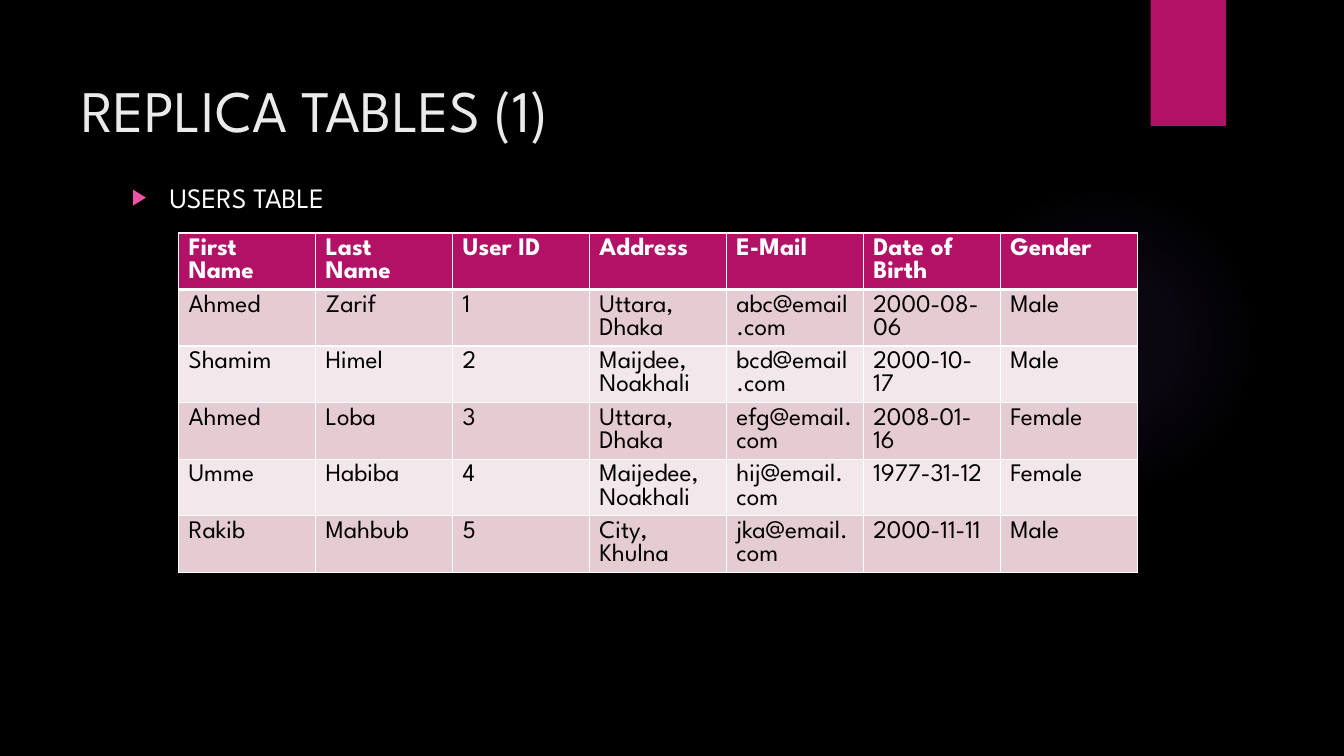
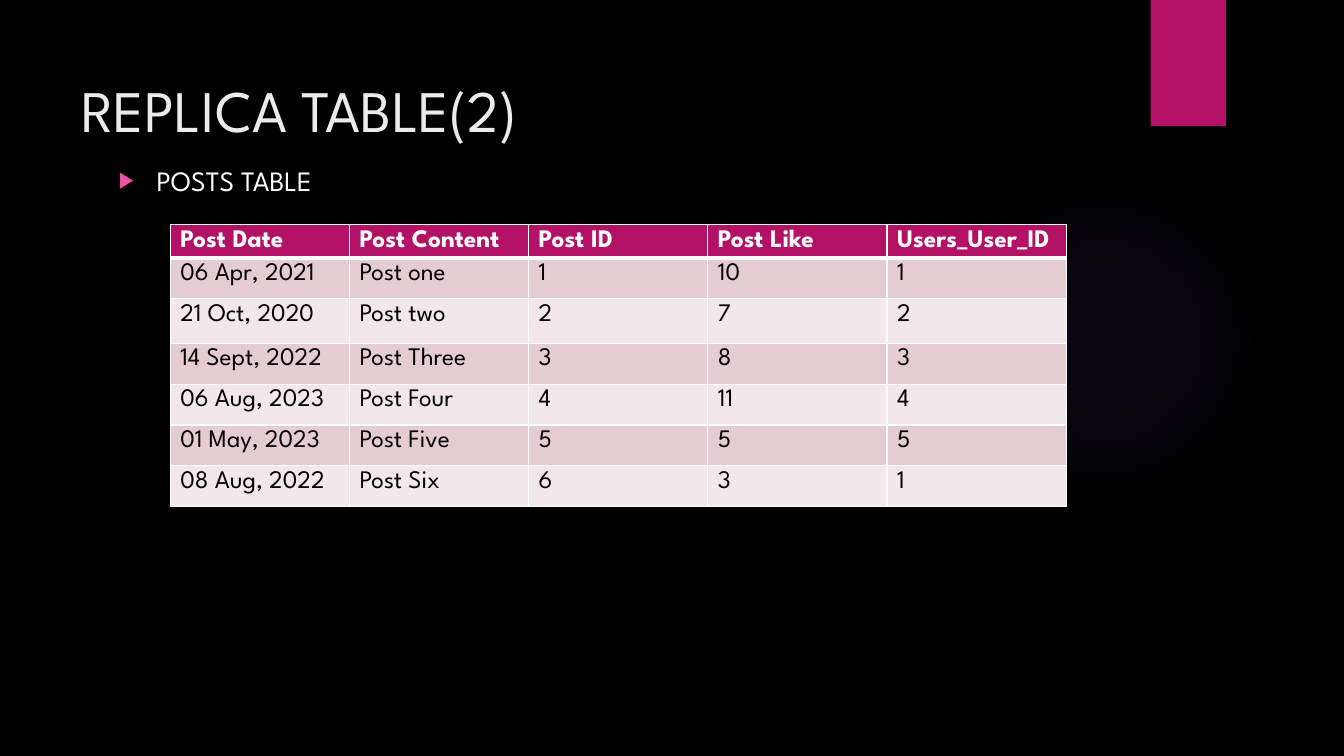
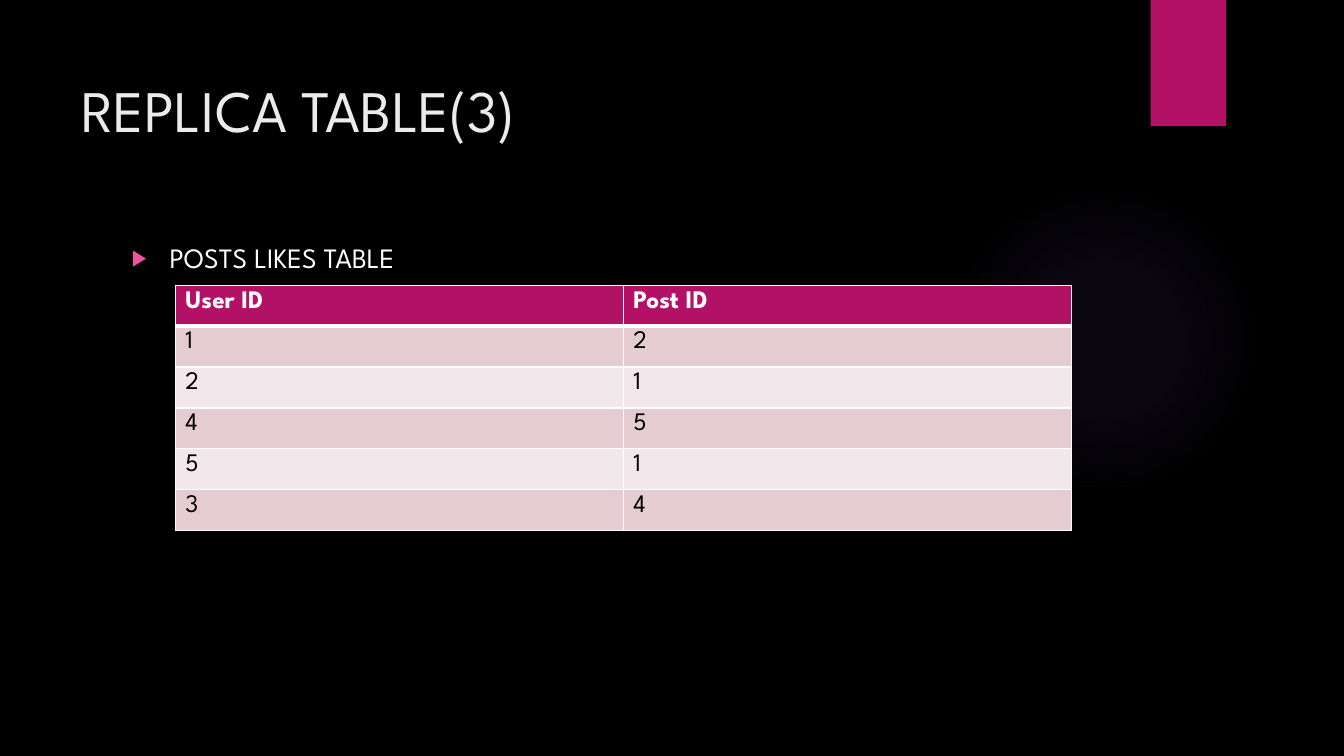
from pptx import Presentation
from pptx.dml.color import RGBColor
from pptx.enum.shapes import MSO_SHAPE
from pptx.enum.text import MSO_ANCHOR, MSO_AUTO_SIZE, PP_ALIGN
from pptx.oxml import parse_xml
from pptx.oxml.ns import nsdecls
from pptx.util import Cm, Pt

RECTANGLE, OVAL = MSO_SHAPE.RECTANGLE, MSO_SHAPE.OVAL
TOP, LEFT, NO_FIT = MSO_ANCHOR.TOP, PP_ALIGN.LEFT, MSO_AUTO_SIZE.NONE

FONT = "League Spartan"
BLACK, WHITE, TITLE_GREY = "000000", "FFFFFF", "EBEBEB"
MAGENTA, PINK, VIOLET = "B31166", "EF53A5", "9B6BF2"
ROW_TINTS = ("E5CCD3", "F2E7EA")
GLOW_STOPS = ((0, 7), (36, 6), (69, 0), (100, 0))  # position %, opacity %

# Boxes are left, top, width, height in centimetres.
TITLE_BOX = (1.8, 1.27, 26.14, 3.89)
BAR_BOX = (29, 0, 1.9, 3.18)
GLOW_BOX = (23.9, 4.65, 7.82, 7.82)
BODY_SIZE = (24.84, 11.66)
ROW_HEIGHT = 1.03

SLIDES = [
    {
        "title": "REPLICA TABLES (1)",
        "caption": "USERS TABLE",
        "caption_at": (3.07, 4.19),
        "table_at": (4.5, 5.87),
        "table_width": 24.16,
        "row_heights": {},
        "records": [
            ("First Name", "Last Name", "User ID", "Address", "E-Mail",
             "Date of Birth", "Gender"),
            ("Ahmed", "Zarif", "1", "Uttara, Dhaka", "abc@email.com",
             "2000-08-06", "Male"),
            ("Shamim", "Himel", "2", "Maijdee, Noakhali", "bcd@email.com",
             "2000-10-17", "Male"),
            ("Ahmed", "Loba", "3", "Uttara, Dhaka", "efg@email.com",
             "2008-01-16", "Female"),
            ("Umme", "Habiba", "4", "Maijedee, Noakhali", "hij@email.com",
             "1977-31-12", "Female"),
            ("Rakib", "Mahbub", "5", "City, Khulna", "jka@email.com",
             "2000-11-11", "Male"),
        ],
    },
    {
        "title": "REPLICA TABLE(2)",
        "caption": "POSTS TABLE",
        "caption_at": (2.74, 3.76),
        "table_at": (4.29, 5.66),
        "table_width": 22.58,
        "row_heights": {0: 0.61, 2: 1.12},
        "records": [
            ("Post Date", "Post Content", "Post ID", "Post Like", "Users_User_ID"),
            ("06 Apr, 2021", "Post one", "1", "10", "1"),
            ("21 Oct, 2020", "Post two", "2", "7", "2"),
            ("14 Sept, 2022", "Post Three", "3", "8", "3"),
            ("06 Aug, 2023", "Post Four", "4", "11", "4"),
            ("01 May, 2023", "Post Five", "5", "5", "5"),
            ("08 Aug, 2022", "Post Six", "6", "3", "1"),
        ],
    },
    {
        "title": "REPLICA TABLE(3)",
        "caption": "POSTS LIKES TABLE",
        "caption_at": (3.07, 5.72),
        "table_at": (4.42, 7.19),
        "table_width": 22.58,
        "row_heights": {},
        "records": [
            ("User ID", "Post ID"),
            ("1", "2"), ("2", "1"), ("4", "5"), ("5", "1"), ("3", "4"),
        ],
    },
]


def rgb(hex_code):
    """Return the colour for a hex string."""
    return RGBColor.from_string(hex_code)


def lengths(box):
    """Turn a box in centimetres into lengths."""
    return [Cm(value) for value in box]


def style(paragraph, size, color, bold=False):
    """Format every run of a paragraph."""
    for run in paragraph.runs:
        run.font.name, run.font.size, run.font.bold = FONT, Pt(size), bold
        run.font.color.rgb = rgb(color)


def fill_placeholder(holder, box, text, size, color, top_inset):
    """Place a placeholder, write its one paragraph and return it."""
    holder.left, holder.top, holder.width, holder.height = lengths(box)
    frame = holder.text_frame
    frame.text = text
    frame.auto_size, frame.vertical_anchor = NO_FIT, TOP
    frame.margin_top = Cm(top_inset)
    paragraph = frame.paragraphs[0]
    paragraph.alignment, paragraph.space_before = LEFT, Pt(0)
    style(paragraph, size, color)
    return paragraph


def add_bullet(paragraph):
    """Give a paragraph a hanging pink triangle."""
    properties = paragraph._p.get_or_add_pPr()
    properties.set("marL", str(Cm(0.95)))
    properties.set("indent", str(-Cm(0.95)))
    for markup in (f'<a:buClr %s><a:srgbClr val="{PINK}"/></a:buClr>',
                   '<a:buSzPct %s val="80000"/>',
                   '<a:buFont %s typeface="Arial"/>',
                   '<a:buChar %s char="\u25b6"/>'):
        properties.append(parse_xml(markup % nsdecls("a")))


def add_plain_shape(slide, kind, box):
    """Add a shape without line or shadow."""
    shape = slide.shapes.add_shape(kind, *lengths(box))
    shape.shadow.inherit = False
    shape.line.fill.background()
    return shape


def decorate_layout(layout, slide):
    """Draw the glow and the corner bar, then move them to the layout."""
    glow = add_plain_shape(slide, OVAL, GLOW_BOX)
    stops = "".join(
        f'<a:gs pos="{position * 1000}"><a:srgbClr val="{VIOLET}">'
        f'<a:alpha val="{opacity * 1000}"/></a:srgbClr></a:gs>'
        for position, opacity in GLOW_STOPS)
    gradient = parse_xml(
        f'<a:gradFill {nsdecls("a")} rotWithShape="1"><a:gsLst>{stops}</a:gsLst>'
        '<a:path path="circle"><a:fillToRect l="50000" t="50000" r="50000" '
        'b="50000"/></a:path></a:gradFill>')
    glow._element.spPr.find("{*}prstGeom").addnext(gradient)

    bar = add_plain_shape(slide, RECTANGLE, BAR_BOX)
    bar.fill.solid()
    bar.fill.fore_color.rgb = rgb(MAGENTA)
    for position, shape in enumerate((glow, bar), start=2):
        layout.shapes.element.insert(position, shape._element)


def add_borders(cell, top, bottom):
    """Draw white cell borders; top and bottom are widths in points."""
    properties = cell._tc.get_or_add_tcPr()
    for side, width in (("L", 1), ("R", 1), ("T", top), ("B", bottom)):
        properties.append(parse_xml(
            f'<a:ln{side} {nsdecls("a")} w="{Pt(width)}"><a:solidFill>'
            f'<a:srgbClr val="{WHITE}"/></a:solidFill></a:ln{side}>'))


def add_records(slide, corner, width, records, row_heights):
    """Add a table with a magenta header row and banded rows."""
    heights = [row_heights.get(row, ROW_HEIGHT) for row in range(len(records))]
    columns = len(records[0])
    box = (*corner, width, sum(heights))
    table = slide.shapes.add_table(len(records), columns, *lengths(box)).table
    for column in table.columns:
        column.width = Cm(width / columns)
    for row, record in enumerate(records):
        table.rows[row].height = Cm(heights[row])
        header = row == 0
        for column, value in enumerate(record):
            cell = table.cell(row, column)
            cell.text = value
            style(cell.text_frame.paragraphs[0], 18,
                  WHITE if header else BLACK, header)
            add_borders(cell, 3 if row == 1 else 1, 3 if header else 1)
            cell.fill.solid()
            cell.fill.fore_color.rgb = rgb(
                MAGENTA if header else ROW_TINTS[(row - 1) % 2])


def add_table_slide(deck, layout, content):
    """Add a slide with a title, a bulleted caption and a table."""
    slide = deck.slides.add_slide(layout)
    fill_placeholder(slide.shapes.title, TITLE_BOX, content["title"],
                     42, TITLE_GREY, 0.58)
    caption = fill_placeholder(
        slide.placeholders[1], (*content["caption_at"], *BODY_SIZE),
        content["caption"], 20, WHITE, 0.35)
    add_bullet(caption)
    add_records(slide, content["table_at"], content["table_width"],
                content["records"], content["row_heights"])
    return slide


def main():
    """Build and save the deck."""
    deck = Presentation()
    deck.slide_width, deck.slide_height = Cm(33.87), Cm(19.05)
    background = deck.slide_master.background.fill
    background.solid()
    background.fore_color.rgb = rgb(BLACK)
    layout = deck.slide_layouts[1]
    slides = [add_table_slide(deck, layout, content) for content in SLIDES]
    decorate_layout(layout, slides[0])
    deck.save("out.pptx")


main()
